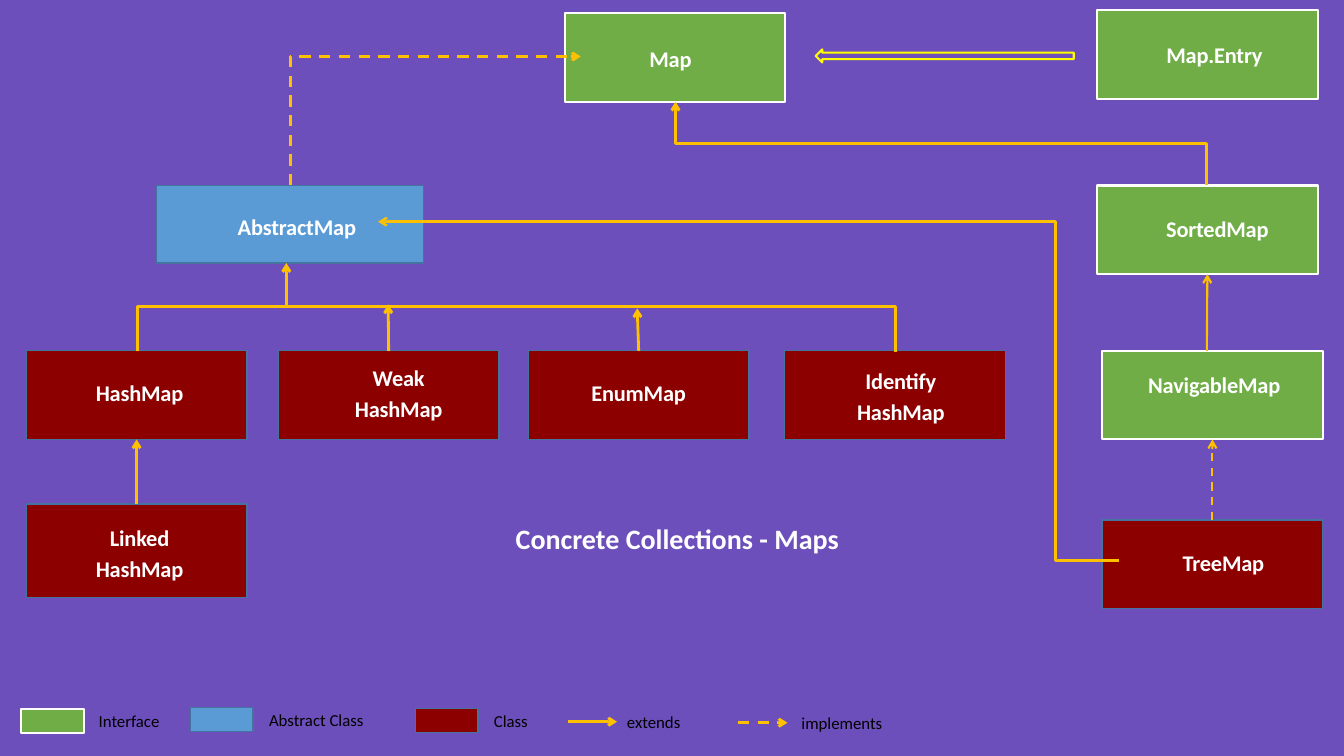
from dataclasses import dataclass

from lxml import etree
from pptx import Presentation
from pptx.dml.color import RGBColor
from pptx.enum.dml import MSO_LINE
from pptx.enum.shapes import MSO_CONNECTOR, MSO_SHAPE
from pptx.enum.text import MSO_AUTO_SIZE, PP_ALIGN
from pptx.oxml.ns import qn
from pptx.util import Inches, Pt

RECTANGLE, LEFT_ARROW = MSO_SHAPE.RECTANGLE, MSO_SHAPE.LEFT_ARROW
STRAIGHT, ELBOW = MSO_CONNECTOR.STRAIGHT, MSO_CONNECTOR.ELBOW
CENTER, RIGHT = PP_ALIGN.CENTER, PP_ALIGN.RIGHT
FIT_TEXT = MSO_AUTO_SIZE.SHAPE_TO_FIT_TEXT
DASH = MSO_LINE.DASH
TOP, BOTTOM = 0, 2


@dataclass(frozen=True)
class Theme:
    """Colours, font and type sizes of the class diagram."""
    background: str = "6C4FBB"
    interface: str = "70AD47"
    abstract: str = "5B9BD5"
    concrete: str = "8C0000"
    class_edge: str = "43739E"
    relation: str = "FFC000"
    entry_arrow: str = "FFFF00"
    light: str = "FFFFFF"
    dark: str = "000000"
    font: str = "Calibri"
    title_size: int = 20
    name_size: int = 16
    legend_size: int = 12


def rgb(value):
    """Turn a hex string into a colour."""
    return RGBColor.from_string(value)


def apply(target, formats):
    """Set each format value on the target."""
    for name, value in formats.items():
        setattr(target, name, value)


class MapDiagram:
    """Draws class boxes, labels and relations on one slide."""

    def __init__(self, slide, theme):
        """Keep the slide and theme and paint the background."""
        self.slide, self.theme = slide, theme
        slide.background.fill.solid()
        slide.background.fill.fore_color.rgb = rgb(theme.background)

    def block(self, kind, left, top, width, height):
        """Add a rectangle in the colours of its kind."""
        theme = self.theme
        edge, weight = (theme.light, 1.5) if kind == "interface" else (theme.class_edge, 1)
        box = self.outline(RECTANGLE, (left, top, width, height), edge, weight)
        box.fill.solid()
        box.fill.fore_color.rgb = rgb(getattr(theme, kind))
        return box

    def outline(self, preset, place, edge, weight):
        """Add an unfilled preset shape."""
        shape = self.slide.shapes.add_shape(preset, *map(Inches, place))
        shape.shadow.inherit = False
        shape.fill.background()
        shape.line.color.rgb = rgb(edge)
        shape.line.width = Pt(weight)
        return shape

    def text(self, lines, place, font, paragraph_format, frame_format):
        """Add a text box with one paragraph for each line."""
        frame = self.slide.shapes.add_textbox(*map(Inches, place)).text_frame
        apply(frame, {"auto_size": FIT_TEXT, **frame_format})
        frame.text = lines
        for paragraph in frame.paragraphs:
            apply(paragraph, paragraph_format)
            run = paragraph.runs[0]
            apply(run.font, {"name": self.theme.font, **font})
        return frame

    def class_name(self, lines, place):
        """Add a bold, centred class name."""
        frame = self.text(
            lines, place, {"size": Pt(self.theme.name_size), "bold": True},
            {"alignment": CENTER, "space_before": Pt(3.1)},
            {"word_wrap": True, "margin_left": 0, "margin_top": Inches(0.04),
             "margin_right": 0, "margin_bottom": 0})
        for paragraph in frame.paragraphs:
            apply(paragraph.runs[0].font.color, {"rgb": rgb(self.theme.light)})
            paragraph.runs[0].font._element.set("spc", "-10")
            paragraph._p.get_or_add_pPr().set("marL", str(Inches(0.21)))

    def title(self, words, place):
        """Add the diagram title."""
        frame = self.text(words, place, {"size": Pt(self.theme.title_size), "bold": True},
                          {"alignment": RIGHT, "line_spacing": 0.8}, {"word_wrap": True})
        frame.paragraphs[0].runs[0].font.color.rgb = rgb(self.theme.light)

    def legend_text(self, words, place):
        """Add a legend caption."""
        frame = self.text(words, place, {"size": Pt(self.theme.legend_size)}, {},
                          {"word_wrap": False})
        frame.paragraphs[0].runs[0].font.color.rgb = rgb(self.theme.dark)

    def finish(self, connector, weight, dashed, arrow):
        """Style a relation line."""
        connector.line.color.rgb = rgb(self.theme.relation)
        connector.line.width = Pt(weight)
        if dashed:
            connector.line.dash_style = DASH
        if arrow:
            etree.SubElement(connector.line._get_or_add_ln(), qn("a:tailEnd"), type="arrow")
        etree.SubElement(connector._element.spPr, qn("a:effectLst"))

    def arrow(self, start, end, weight=2, dashed=False, child=None, parent=None):
        """Add a straight arrow, joined to the boxes given."""
        connector = self.slide.shapes.add_connector(STRAIGHT, *map(Inches, start + end))
        if child:
            connector.begin_connect(child, TOP)
        if parent:
            connector.end_connect(parent, BOTTOM)
        self.finish(connector, weight, dashed, True)

    def elbow(self, start, end, bend=0.5, upright=True, weight=2, dashed=False, arrow=True):
        """Add a bent line, upright first or level first; no bend value means one corner."""
        points = (start, end)
        if upright:
            middle_x, middle_y = ((a + b) / 2 for a, b in zip(start, end))
            points = [(middle_x + middle_y - y, middle_y + x - middle_x) for x, y in points]
        connector = self.slide.shapes.add_connector(ELBOW, *map(Inches, (*points[0], *points[1])))
        if upright:
            connector.rotation = 270
        geometry = connector._element.spPr.find(qn("a:prstGeom"))
        if bend is None:
            geometry.set("prst", "bentConnector2")
        else:
            guides = geometry.find(qn("a:avLst"))
            if guides is None:
                guides = etree.SubElement(geometry, qn("a:avLst"))
            etree.SubElement(guides, qn("a:gd"), name="adj1", fmla=f"val {round(bend * 100000)}")
        self.finish(connector, weight, dashed, arrow)


CLASSES = [
    ("Map.Entry", "interface", (10.88, 0.1, 2.19, 0.88), (10.98, 0.37, 1.92, 0.31)),
    ("Map", "interface", (5.6, 0.13, 2.19, 0.88), (5.76, 0.41, 1.57, 0.31)),
    ("AbstractMap", "abstract", (1.55, 1.84, 2.65, 0.77), (1.43, 2.07, 2.82, 0.31)),
    ("SortedMap", "interface", (10.88, 1.84, 2.19, 0.88), (11.04, 2.09, 1.86, 0.31)),
    ("HashMap", "concrete", (0.26, 3.48, 2.19, 0.88), (0.35, 3.72, 1.86, 0.31)),
    ("Weak\nHashMap", "concrete", (2.76, 3.48, 2.19, 0.88), (2.92, 3.57, 1.86, 0.62)),
    ("EnumMap", "concrete", (5.24, 3.48, 2.19, 0.88), (5.3, 3.72, 1.86, 0.31)),
    ("Identify\nHashMap", "concrete", (7.78, 3.48, 2.19, 0.88), (7.9, 3.6, 1.86, 0.62)),
    ("NavigableMap", "interface", (10.93, 3.48, 2.19, 0.88), (11.01, 3.64, 1.86, 0.58)),
    ("Linked\nHashMap", "concrete", (0.26, 5, 2.19, 0.93), (0.35, 5.16, 1.86, 0.62)),
    ("TreeMap", "concrete", (10.93, 5.16, 2.19, 0.88), (11.1, 5.41, 1.86, 0.31)),
]
SWATCHES = [("interface", 0.21, 7.03), ("abstract", 1.89, 7.02), ("concrete", 4.12, 7.03)]
CAPTIONS = [
    ("Interface", 0.88, 7, 0.95), ("Abstract Class", 2.57, 6.99, 1.39), ("Class", 4.8, 7, 0.64),
    ("extends", 6.12, 7.01, 0.86), ("implements", 7.85, 7.02, 1.19),
]


def main():
    """Build the map hierarchy slide."""
    deck = Presentation()
    deck.slide_width, deck.slide_height = Inches(13.33), Inches(7.5)
    theme = Theme()
    diagram = MapDiagram(deck.slides.add_slide(deck.slide_layouts[6]), theme)

    boxes = {}
    for name, kind, box_place, name_place in CLASSES:
        boxes[name] = diagram.block(kind, *box_place)
        diagram.class_name(name, name_place)
    diagram.title("Concrete Collections - Maps", (3.85, 5.19, 4.57, 0.37))

    diagram.outline(LEFT_ARROW, (8.09, 0.49, 2.56, 0.13), theme.entry_arrow, 1.5)
    diagram.elbow((2.88, 1.84), (5.76, 0.56), bend=None, dashed=True)
    diagram.elbow((1.36, 3.48), (8.88, 3.49), bend=-45, arrow=False)
    diagram.elbow((11.1, 5.56), (3.75, 2.2), bend=0.086, upright=False, weight=1.75)
    diagram.elbow((11.97, 1.84), (6.7, 1.01))
    diagram.arrow((12.03, 5.16), (12.03, 4.36), 1.5, True, boxes["TreeMap"], boxes["NavigableMap"])
    diagram.arrow((11.97, 3.48), (11.97, 2.72), 1.5, parent=boxes["SortedMap"])
    diagram.arrow((1.36, 5), (1.36, 4.36), child=boxes["Linked\nHashMap"], parent=boxes["HashMap"])
    diagram.arrow((2.84, 3.03), (2.84, 2.61))
    diagram.arrow((3.85, 3.48), (3.85, 3.02), child=boxes["Weak\nHashMap"])
    diagram.arrow((6.32, 3.48), (6.32, 3.06), child=boxes["EnumMap"])

    for kind, left, top in SWATCHES:
        diagram.block(kind, left, top, 0.62, 0.24)
    for words, left, top, width in CAPTIONS:
        diagram.legend_text(words, (left, top, width, 0.3))
    diagram.arrow((5.63, 7.16), (6.12, 7.16))
    diagram.arrow((7.32, 7.17), (7.81, 7.17), dashed=True)
    deck.save("out.pptx")


if __name__ == "__main__":
    main()
